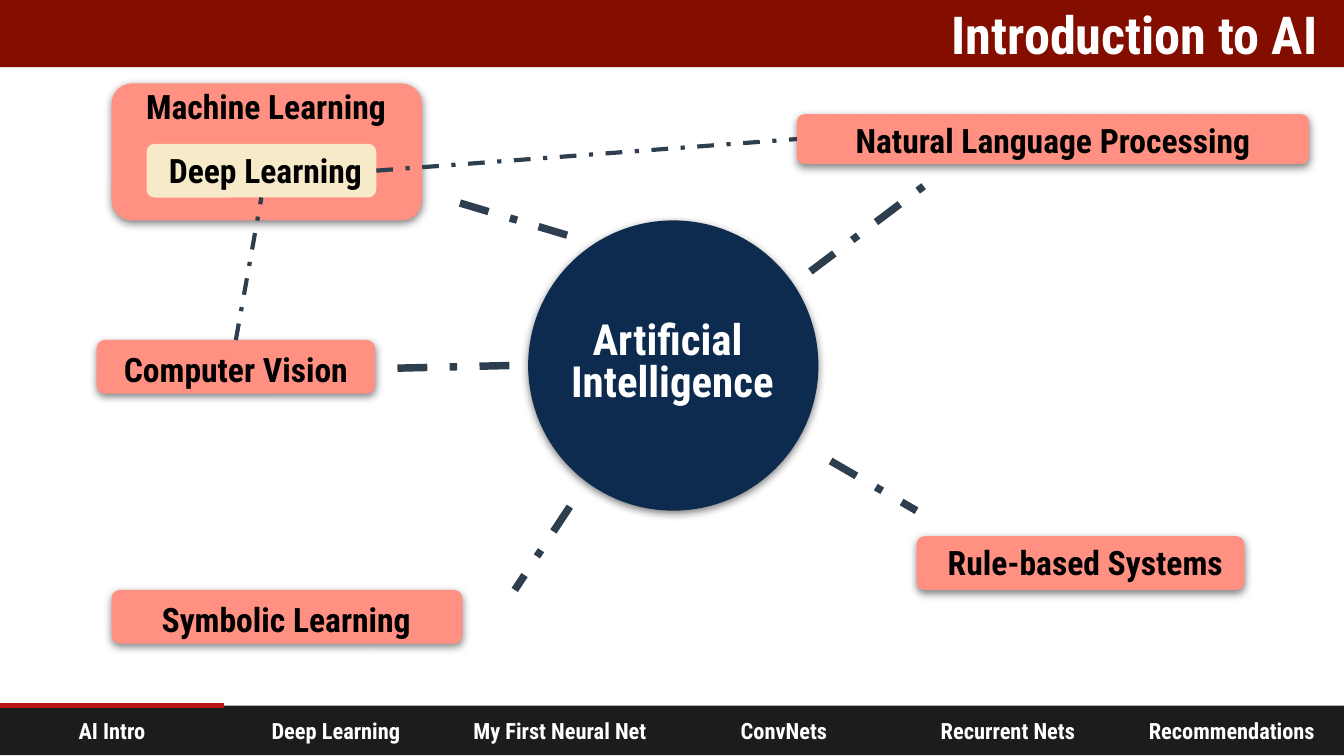
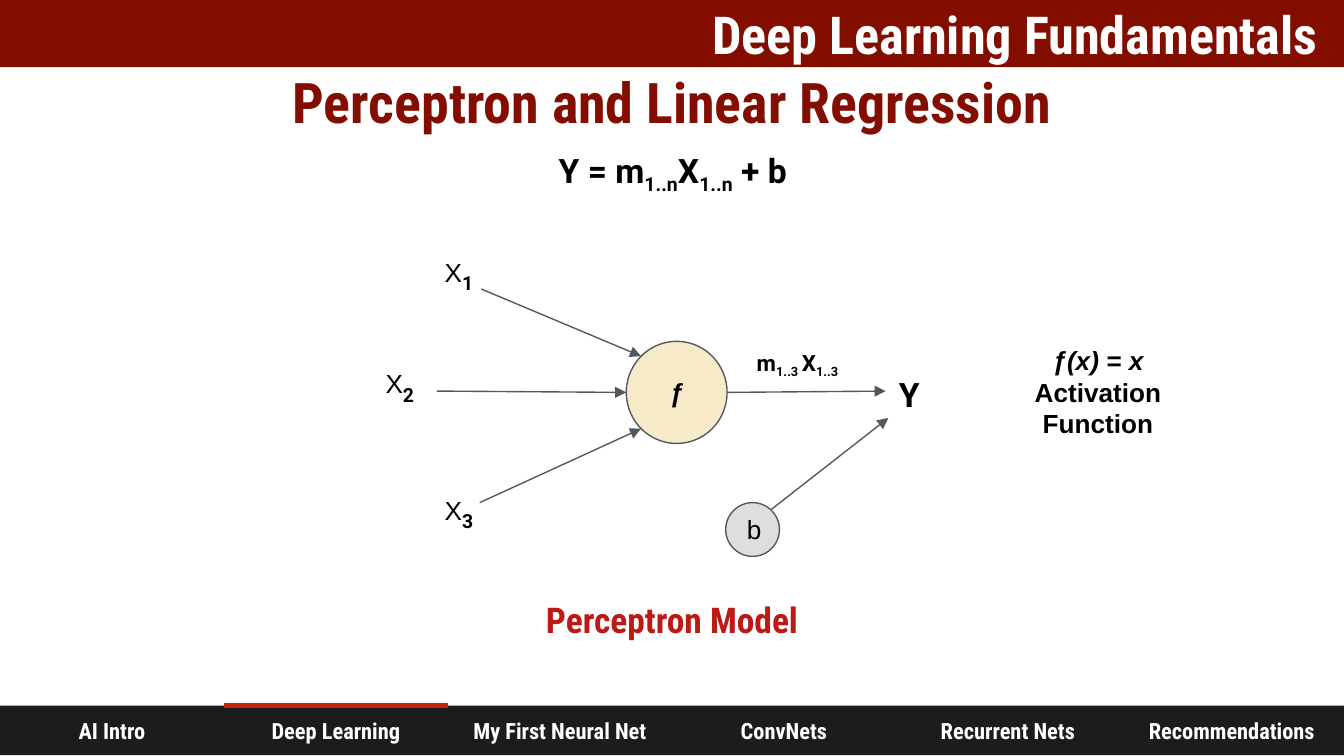
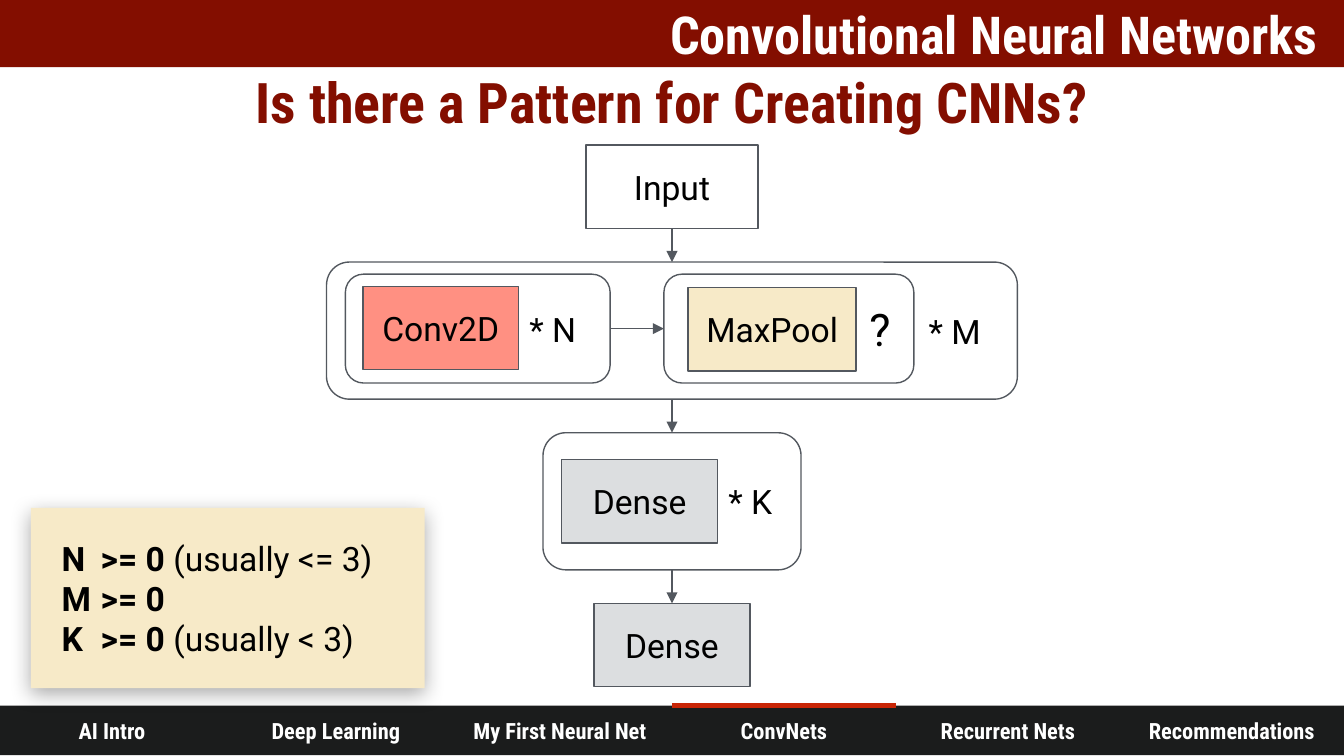
from dataclasses import dataclass
from typing import NamedTuple, Optional

from lxml import etree
from pptx import Presentation
from pptx.dml.color import RGBColor
from pptx.enum.dml import MSO_LINE
from pptx.enum.shapes import MSO_CONNECTOR, MSO_SHAPE
from pptx.enum.text import MSO_ANCHOR, MSO_AUTO_SIZE, PP_ALIGN
from pptx.oxml.ns import qn
from pptx.util import Inches, Pt

RECT, ROUND, OVAL = MSO_SHAPE.RECTANGLE, MSO_SHAPE.ROUNDED_RECTANGLE, MSO_SHAPE.OVAL
LEFT, MID, RIGHT = PP_ALIGN.LEFT, PP_ALIGN.CENTER, PP_ALIGN.RIGHT
TOP, CENTER = MSO_ANCHOR.TOP, MSO_ANCHOR.MIDDLE
DASH, STRAIGHT = MSO_LINE.DASH_DOT, MSO_CONNECTOR.STRAIGHT
NO_STYLE = "{2D5ABB26-0587-4C30-8999-92F81FD0307C}"
UP, WEST, DOWN, EAST = range(4)


@dataclass(frozen=True)
class Theme:
    maroon: str = "830E00"
    coal: str = "1B1C1C"
    coral: str = "FF9082"
    cream: str = "F7EAC8"
    navy: str = "0D2B4E"
    slate: str = "2D3E4F"
    edge: str = "53585F"
    pale: str = "DCDEE0"
    red: str = "BD1915"
    first: str = "BD1515"
    active: str = "C82506"
    white: str = "FFFFFF"
    black: str = "000000"
    head: str = "Roboto Condensed"
    body: str = "Roboto"
    math: str = "Arial"
    title: float = 28
    topic: float = 30
    hub: float = 23
    mark: float = 24
    model: float = 19
    text: float = 18
    sign: float = 14
    small: float = 12


T = Theme()


class Area(NamedTuple):
    x: float
    y: float
    w: float
    h: float


class Run(NamedTuple):
    text: str
    size: float = T.text
    font: str = T.body
    color: str = T.black
    bold: bool = False
    slant: bool = False
    sub: bool = False


class Glow(NamedTuple):
    alpha: int
    blur: float
    dist: float


SOFT, DEEP = Glow(50, 4.5, 1.5), Glow(32, 11.2, 3)
BREAK = Run("\n")
Lines = list[list[Run]]


class Node(NamedTuple):
    name: str
    area: Area
    label: Area
    fill: str = T.coral
    glow: Optional[Glow] = SOFT
    ratio: float = 1


class Block(NamedTuple):
    name: str
    area: Area
    text: str
    fill: Optional[str] = None
    kind: int = RECT
    pad: Optional[float] = None  # left inset of a text that follows an inner block
    size: float = T.text


class Link(NamedTuple):
    start: tuple
    end: tuple


# Drawing tools
def tint(code: str) -> RGBColor:
    return RGBColor.from_string(code)


def place(area: Area) -> list:
    return [Inches(n) for n in area]


def add_runs(para, runs: list[Run]) -> None:
    for item in runs:
        if item == BREAK:
            para.add_line_break()
            continue
        run = para.add_run()
        run.text = item.text
        font = run.font
        font.name, font.size = item.font, Pt(item.size)
        font.bold, font.italic = item.bold, item.slant
        font.color.rgb = tint(item.color)
        if item.sub:
            run._r.get_or_add_rPr().set("baseline", "-25000")


def write(shape, lines: Lines, align=MID, pad: float = 0.1, left: Optional[float] = None,
          anchor=CENTER, ratio: float = 1, tab: Optional[float] = None) -> None:
    frame = shape.text_frame
    frame.word_wrap, frame.auto_size = True, MSO_AUTO_SIZE.NONE
    frame.vertical_anchor = anchor
    frame.margin_top = frame.margin_bottom = frame.margin_right = Inches(pad)
    frame.margin_left = Inches(pad if left is None else left)
    for i, runs in enumerate(lines):
        para = frame.add_paragraph() if i else frame.paragraphs[0]
        if tab:
            stops = etree.SubElement(para._p.get_or_add_pPr(), qn("a:tabLst"))
            etree.SubElement(stops, qn("a:tab"), pos=str(Inches(tab)), algn="l")
        para.alignment, para.line_spacing = align, ratio
        add_runs(para, runs)


def add_text(slide, area: Area, lines: Lines, **style) -> None:
    write(slide.shapes.add_textbox(*place(area)), lines, **style)


def add_glow(shape, glow: Glow) -> None:
    effects = shape.element.spPr.find(qn("a:effectLst"))
    cast = etree.SubElement(effects, qn("a:outerShdw"), blurRad=str(Pt(glow.blur)),
                            dist=str(Pt(glow.dist)), dir="5400000", rotWithShape="0")
    color = etree.SubElement(cast, qn("a:srgbClr"), val=T.black)
    etree.SubElement(color, qn("a:alpha"), val=str(glow.alpha * 1000))


def add_box(slide, kind, area: Area, fill: Optional[str] = None, line: Optional[str] = None,
            glow: Optional[Glow] = None, bend: Optional[float] = None):
    shape = slide.shapes.add_shape(kind, *place(area))
    shape.shadow.inherit = False
    if fill:
        shape.fill.solid()
        shape.fill.fore_color.rgb = tint(fill)
    else:
        shape.fill.background()
    if line:
        shape.line.color.rgb = tint(line)
        shape.line.width = Pt(0.75)
    else:
        shape.line.fill.background()
    if bend:
        shape.adjustments[0] = bend
    if glow:
        add_glow(shape, glow)
    return shape


def add_line(slide, link: Link, color: str = T.edge, width: float = 0.75,
             dash=None, arrow: bool = True):
    ends = [Inches(n) for n in (*link.start, *link.end)]
    line = slide.shapes.add_connector(STRAIGHT, *ends)
    line.line.color.rgb = tint(color)
    line.line.width = Pt(width)
    if dash:
        line.line.dash_style = dash
    if arrow:
        etree.SubElement(line.line._get_or_add_ln(), qn("a:tailEnd"), type="triangle")
    etree.SubElement(line.element.spPr, qn("a:effectLst"))
    return line


def join(slide, first, out: int, last, into: int, **style) -> None:
    line = add_line(slide, Link((0, 0), (1, 1)), **style)
    line.begin_connect(first, out)
    line.end_connect(last, into)


# Shared frame: bands, title, section bar
TABS = ["AI Intro", "Deep Learning", "My First Neural Net", "ConvNets",
        "Recurrent Nets", "Recommendations"]
BANDS = [(Area(0, -0.01, 10, 0.51), T.maroon), (Area(0, 5.25, 10, 0.37), T.coal)]


def add_bands(slide) -> None:
    """Draw the bands and move them to the layout, behind its placeholders."""
    tree = slide.slide_layout.shapes.element
    for i, (area, fill) in enumerate(BANDS):
        band = add_box(slide, RECT, area, fill).element
        band.nvSpPr.cNvPr.set("id", str(100 + i))
        tree.insert(2 + i, band)


def add_tabs(slide, active: int, color: str) -> None:
    frame = slide.shapes.add_table(1, len(TABS), *place(Area(0, 5.25, 10, 0.36)))
    frame.element.find(".//" + qn("a:tableStyleId")).text = NO_STYLE
    table = frame.table
    table.first_row = table.horz_banding = False
    for i, name in enumerate(TABS):
        cell = table.cell(0, i)
        cell.margin_left = cell.margin_right = Inches(0.1)
        cell.margin_top = cell.margin_bottom = Inches(0.1)
        cell.vertical_anchor = CENTER
        para = cell.text_frame.paragraphs[0]
        para.alignment = MID
        add_runs(para, [Run(name, T.small, T.head, T.white, True)])
        if i == active:
            edge = etree.SubElement(cell._tc.get_or_add_tcPr(), qn("a:lnT"), w=str(Pt(3)))
            fill = etree.SubElement(edge, qn("a:solidFill"))
            etree.SubElement(fill, qn("a:srgbClr"), val=color)
        cell.fill.background()


def add_slide(deck, title: str, active: int, topic: str = "", color: str = T.active):
    slide = deck.slides.add_slide(deck.slide_layouts[5])
    head = slide.shapes.title
    head.left, head.top, head.width, head.height = place(Area(0.53, 0, 9.32, 0.5))
    write(head, [[Run(title, T.title, T.head, T.white, True)]], align=RIGHT, pad=0.05)
    add_tabs(slide, active, color)
    if topic:
        add_text(slide, Area(0, 0.55, 10, 0.4),
                 [[Run(topic, T.topic, T.head, T.maroon, True)]], pad=0.04)
    return slide


# Slide 1: fields of AI around a hub
FIELDS = [
    Node("Machine Learning", Area(0.83, 0.62, 2.31, 1.02), Area(1.01, 0.66, 1.94, 0.32),
         ratio=0.8),
    Node("Deep Learning", Area(1.09, 1.07, 1.71, 0.4), Area(0.84, 1.08, 2.27, 0.37),
         T.cream, None),
    Node("Natural Language Processing", Area(5.93, 0.85, 3.81, 0.37),
         Area(6.23, 0.87, 3.21, 0.35)),
    Node("Computer Vision", Area(0.72, 2.53, 2.07, 0.4), Area(0.83, 2.56, 1.85, 0.37)),
    Node("Rule-based Systems", Area(6.82, 3.99, 2.44, 0.4), Area(6.98, 4, 2.19, 0.37)),
    Node("Symbolic Learning", Area(0.83, 4.39, 2.61, 0.4), Area(0.96, 4.42, 2.34, 0.37)),
]
SPOKES = [
    Link((4.22, 1.75), (3.32, 1.48)),
    Link((6.03, 2.02), (6.96, 1.32)),
    Link((6.18, 3.43), (6.82, 3.8)),
    Link((4.24, 3.77), (3.83, 4.39)),
    Link((3.79, 2.72), (2.94, 2.74)),
]


def draw_fields(slide) -> None:
    add_box(slide, OVAL, Area(3.93, 1.64, 2.16, 2.16), T.navy, glow=SOFT)
    upper, lower = [Run(word, T.hub, T.head, T.white, True)
                    for word in ("Artificial ", "Intelligence")]
    add_text(slide, Area(4.04, 2.36, 1.93, 0.7), [[upper, BREAK, lower]],
             pad=0.04, ratio=0.8)
    for link in SPOKES:
        add_line(slide, link, T.slate, 4, DASH, False)
    boxes = {}
    for node in FIELDS:
        boxes[node.name] = add_box(slide, ROUND, node.area, node.fill,
                                   glow=node.glow, bend=0.15)
        add_text(slide, node.label, [[Run(node.name, font=T.head, bold=True)]],
                 pad=0.04, ratio=node.ratio)
    deep = boxes["Deep Learning"]
    thin = dict(color=T.slate, width=2.25, dash=DASH, arrow=False)
    join(slide, boxes["Computer Vision"], UP, deep, DOWN, **thin)
    join(slide, deep, EAST, boxes["Natural Language Processing"], WEST, **thin)


# Slide 2: perceptron
INPUTS = [("1", 3.21, 1.75), ("2", 2.77, 2.58), ("3", 3.21, 3.52)]
ARROWS = [
    Link((3.58, 2.15), (4.77, 2.65)),
    Link((3.25, 2.91), (4.66, 2.92)),
    Link((3.57, 3.74), (4.77, 3.19)),
    Link((5.4, 2.92), (6.59, 2.91)),
    Link((5.74, 3.79), (6.61, 3.11)),
]


def term(size: float, *parts: str) -> list[Run]:
    """Bold runs that switch between base line and subscript."""
    return [Run(part, size, bold=True, sub=i % 2 == 1) for i, part in enumerate(parts)]


def draw_model(slide) -> None:
    add_text(slide, Area(3.86, 0.99, 2.29, 0.59),
             [term(T.text, "Y = m", "1..n", "X", "1..n", " + b")], pad=0.05)
    for link in ARROWS:
        add_line(slide, link)
    for digit, x, y in INPUTS:
        add_text(slide, Area(x, y, 0.49, 0.4),
                 [[Run("X", T.sign, T.math), Run(digit, bold=True, sub=True)]],
                 align=LEFT, anchor=TOP)
    unit = add_box(slide, OVAL, Area(4.66, 2.54, 0.75, 0.76), T.cream, T.edge)
    write(unit, [[Run("ƒ", T.sign, T.math, bold=True, slant=True)]])
    bias = add_box(slide, OVAL, Area(5.4, 3.74, 0.4, 0.4), T.pale, T.edge)
    write(bias, [[Run("b", T.sign, T.math)]])
    add_text(slide, Area(6.52, 2.64, 0.49, 0.59), [term(T.text, "Y")], pad=0.05)
    add_text(slide, Area(5.05, 2.49, 1.77, 0.44),
             [term(T.small, "m", "1..3 ", "X", "1..3")])
    add_text(slide, Area(3.36, 4.31, 3.28, 0.59),
             [[Run("Perceptron Model", T.model, T.head, T.red, True)]])
    add_text(slide, Area(7.22, 2.47, 1.9, 0.89),
             [[Run("ƒ(x) = x", T.sign, T.math, bold=True, slant=True)],
              [Run("Activation Function", T.sign, T.math, bold=True)]])


# Slide 3: pattern of a convolutional network
def axis(y: float, w: float, h: float) -> Area:
    """An area centred on the slide."""
    return Area(5 - w / 2, y, w, h)


BLOCKS = [
    Block("input", axis(1.08, 1.28, 0.62), "Input"),
    Block("stack", axis(1.95, 5.14, 1.02), "* M", None, ROUND, 4.43),
    Block("convs", Area(2.57, 2.04, 1.97, 0.81), "* N", None, ROUND, 1.33),
    Block("pools", Area(4.94, 2.04, 1.86, 0.81), "?", None, ROUND, 1.49, T.mark),
    Block("conv", Area(2.7, 2.13, 1.16, 0.62), "Conv2D", T.coral),
    Block("pool", Area(5.12, 2.14, 1.25, 0.62), "MaxPool", T.cream),
    Block("tail", axis(3.22, 1.92, 1.02), "* K", None, ROUND, 1.33),
    Block("dense", Area(4.18, 3.42, 1.16, 0.62), "Dense", T.pale),
    Block("last", axis(4.49, 1.16, 0.62), "Dense", T.pale),
]
FLOW = [("input", DOWN, "stack", UP), ("convs", EAST, "pools", WEST),
        ("stack", DOWN, "tail", UP), ("tail", DOWN, "last", UP)]
LIMITS = [("N\t>= 0", " (usually <= 3)"), ("M\t>= 0", ""), ("K\t>= 0 ", "(usually < 3)")]


def draw_pattern(slide) -> None:
    boxes = {}
    for block in BLOCKS:
        box = add_box(slide, block.kind, block.area, block.fill, T.edge)
        write(box, [[Run(block.text, block.size)]],
              align=LEFT if block.pad else MID, left=block.pad)
        boxes[block.name] = box
    for first, out, last, into in FLOW:
        join(slide, boxes[first], out, boxes[last], into)
    note = add_box(slide, RECT, Area(0.23, 3.78, 2.93, 1.34), T.cream, glow=DEEP)
    lines = [[Run(rule, bold=True)] + ([Run(hint)] if hint else []) for rule, hint in LIMITS]
    write(note, lines, align=LEFT, pad=0.04, left=0.23, tab=0.29)


def main() -> None:
    deck = Presentation()
    deck.slide_width = Inches(10)
    deck.slide_height = deck.slide_width * 9 // 16
    intro = add_slide(deck, "Introduction to AI", 0, color=T.first)
    add_bands(intro)
    draw_fields(intro)
    draw_model(add_slide(deck, "Deep Learning Fundamentals", 1,
                         "Perceptron and Linear Regression"))
    draw_pattern(add_slide(deck, "Convolutional Neural Networks", 3,
                           "Is there a Pattern for Creating CNNs?"))
    deck.save("out.pptx")


if __name__ == "__main__":
    main()
